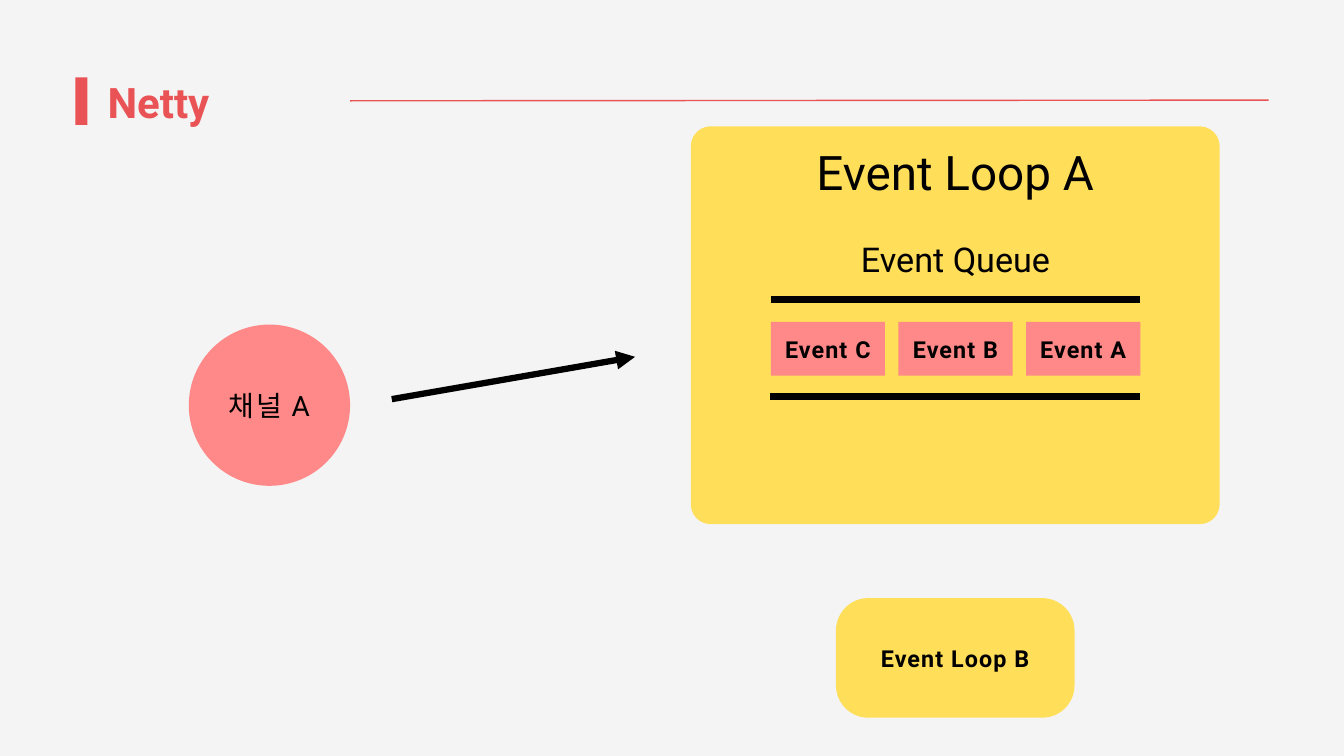
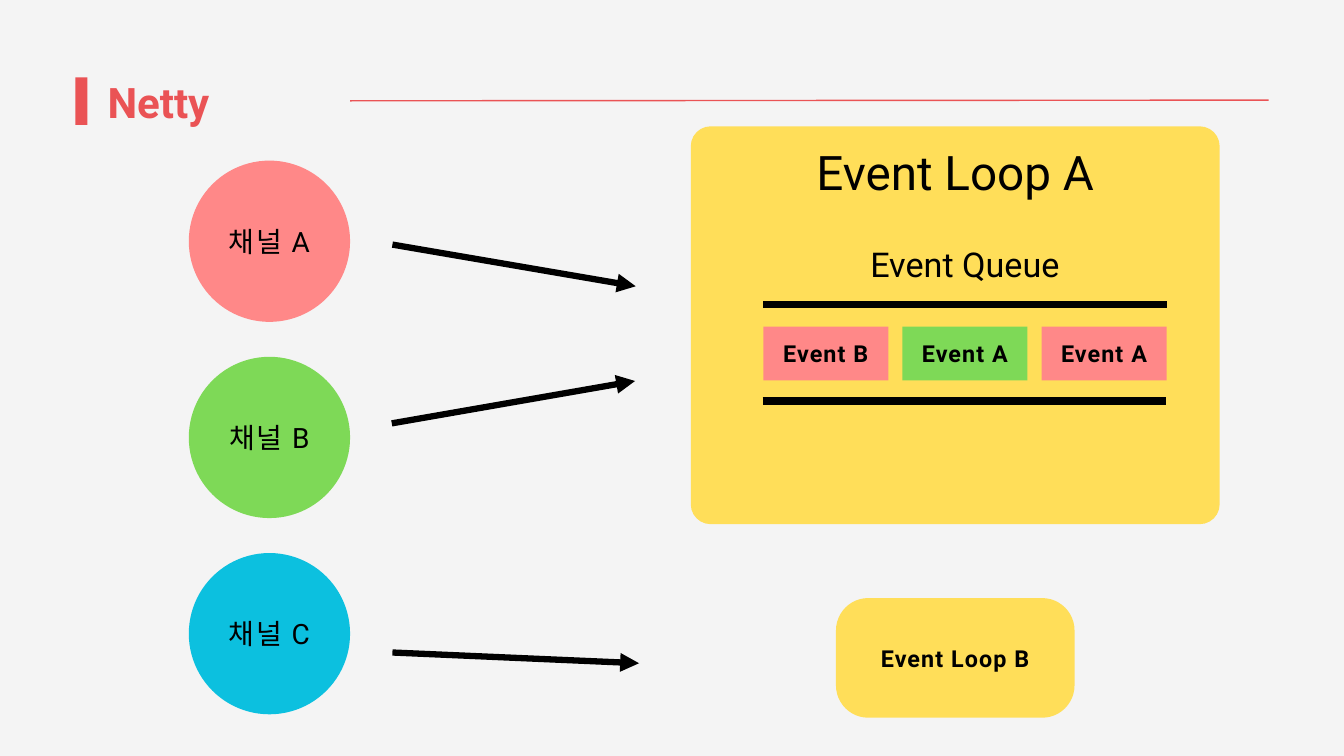
from lxml import etree
from pptx import Presentation
from pptx.dml.color import RGBColor
from pptx.enum.shapes import MSO_CONNECTOR, MSO_SHAPE
from pptx.enum.text import MSO_ANCHOR, MSO_AUTO_SIZE, PP_ALIGN
from pptx.oxml.ns import qn
from pptx.util import Inches, Pt

RECT, ROUNDED, OVAL = MSO_SHAPE.RECTANGLE, MSO_SHAPE.ROUNDED_RECTANGLE, MSO_SHAPE.OVAL
STRAIGHT = MSO_CONNECTOR.STRAIGHT
TOP, MIDDLE = MSO_ANCHOR.TOP, MSO_ANCHOR.MIDDLE
LEFT, CENTER = PP_ALIGN.LEFT, PP_ALIGN.CENTER
NO_AUTOFIT = MSO_AUTO_SIZE.NONE

CORAL = RGBColor(0xEA, 0x53, 0x55)
PAPER = RGBColor(0xF4, 0xF4, 0xF4)
YELLOW = RGBColor(0xFF, 0xDE, 0x59)
PINK = RGBColor(0xFF, 0x88, 0x88)
GREEN = RGBColor(0x7E, 0xD9, 0x57)
CYAN = RGBColor(0x0C, 0xC0, 0xDF)
BLACK = RGBColor(0, 0, 0)
FONT = "Roboto"

# Text formats
TITLE = dict(size=45, leading=58.5, color=CORAL, bold=True, align=LEFT)
LOOP_HEADING = dict(size=51, leading=66.3)
QUEUE_HEADING = dict(size=36.6, leading=47.5)
LABEL = dict(size=25, leading=30, bold=True, tracking=1.2, anchor=MIDDLE, inset=0.06)
CHANNEL = dict(size=30, leading=36, tracking=1.5, anchor=MIDDLE, inset=0.06)

# Shared layout
LOOP_A = (10.28, 1.88, 7.87, 5.92)
LOOP_B = (12.44, 8.9, 3.55, 1.78)
CHANNEL_LEFT, CHANNEL_SIZE, CHANNEL_STEP = 2.81, 2.4, 2.92

# What differs: channels (name, colour), queue and arrows (from x, y to x, y)
SLIDES = [
    dict(
        channels=[("채널 A", PINK)],
        channel_top=4.83,
        events=[("Event C", PINK), ("Event B", PINK), ("Event A", PINK)],
        queue=(11.47, 4.46), event_width=1.7, event_gap=0.2,
        arrows=[(5.83, 5.94, 9.45, 5.31)],
    ),
    dict(
        channels=[("채널 A", PINK), ("채널 B", GREEN), ("채널 C", CYAN)],
        channel_top=2.39,
        events=[("Event B", PINK), ("Event A", GREEN), ("Event A", PINK)],
        queue=(11.36, 4.53), event_width=1.86, event_gap=0.21,
        arrows=[(5.84, 3.64, 9.46, 4.26), (5.83, 6.3, 9.45, 5.67), (5.84, 9.71, 9.51, 9.87)],
    ),
]


def write(shape, text, *, size, leading, color=BLACK, bold=False, tracking=0,
          align=CENTER, anchor=TOP, inset=0):
    frame = shape.text_frame
    frame.word_wrap = True
    frame.auto_size = NO_AUTOFIT
    frame.vertical_anchor = anchor
    frame.margin_left = frame.margin_right = Inches(inset)
    frame.margin_top = frame.margin_bottom = Inches(inset)
    paragraph = frame.paragraphs[0]
    paragraph.alignment = align
    paragraph.line_spacing = Pt(leading)
    paragraph.space_before = Pt(0)
    run = paragraph.add_run()
    run.text = text
    run.font.name = FONT
    run.font.size = Pt(size)
    run.font.bold = bold
    run.font.color.rgb = color
    properties = run.font._element
    properties.set("spc", str(round(tracking * 100)))
    etree.SubElement(properties, qn("a:ea"), typeface=FONT)


def draw_line(slide, ends, color, width, arrow=False):
    line = slide.shapes.add_connector(STRAIGHT, *map(Inches, ends))
    line.line.color.rgb = color
    line.line.width = Pt(width)
    if arrow:
        etree.SubElement(line.line._get_or_add_ln(), qn("a:tailEnd"), type="triangle")
    etree.SubElement(line._element.spPr, qn("a:effectLst"))


prs = Presentation()
prs.slide_width, prs.slide_height = Inches(20), Inches(11.25)
background = prs.slide_master.background.fill
background.solid()
background.fore_color.rgb = PAPER
title_only = prs.slide_layouts[5]

for content in SLIDES:
    slide = prs.slides.add_slide(title_only)

    # Title and rule
    title = slide.shapes.title
    title.left, title.top, title.width, title.height = map(Inches, (1.6, 1.08, 3.61, 0.79))
    write(title, "Netty", **TITLE)
    draw_line(slide, (5.21, 1.5, 18.88, 1.49), CORAL, 1.5)

    # Accent bar and event loops: kind, box, colour, corner, text, format
    blocks = [
        (RECT, (1.12, 1.15, 0.18, 0.71), CORAL, None, "", None),
        (ROUNDED, LOOP_B, YELLOW, 0.27, "Event Loop B", LABEL),
        (ROUNDED, LOOP_A, YELLOW, 0.05, "", None),
    ]

    # Events in the queue
    queue_left, queue_top = content["queue"]
    step = content["event_width"] + content["event_gap"]
    for i, (event, color) in enumerate(content["events"]):
        box = (queue_left + i * step, queue_top + 0.33, content["event_width"], 0.8)
        blocks.append((RECT, box, color, None, event, LABEL))

    # Channels
    for i, (channel, color) in enumerate(content["channels"]):
        box = (CHANNEL_LEFT, content["channel_top"] + i * CHANNEL_STEP, CHANNEL_SIZE, CHANNEL_SIZE)
        blocks.append((OVAL, box, color, None, channel, CHANNEL))

    for kind, box, color, corner, text, text_format in blocks:
        block = slide.shapes.add_shape(kind, *map(Inches, box))
        block.shadow.inherit = False
        block.fill.solid()
        block.fill.fore_color.rgb = color
        block.line.fill.background()
        if corner:
            block.adjustments[0] = corner
        if text:
            write(block, text, **text_format)

    # Headings of the loop and its queue
    queue_width = len(content["events"]) * step - content["event_gap"]
    headings = [
        ("Event Loop A", (12.06, 2.06, 4.31, 0.9), LOOP_HEADING),
        ("Event Queue", (queue_left, queue_top - 0.96, queue_width, 0.63), QUEUE_HEADING),
    ]
    for text, box, text_format in headings:
        write(slide.shapes.add_textbox(*map(Inches, box)), text, **text_format)

    # Queue rails and arrows
    for left, top in [(queue_left, queue_top), (queue_left - 0.01, queue_top + 1.44)]:
        draw_line(slide, (left, top, left + queue_width, top), BLACK, 8.12)
    for ends in content["arrows"]:
        draw_line(slide, ends, BLACK, 6.75, arrow=True)

prs.save("out.pptx")
